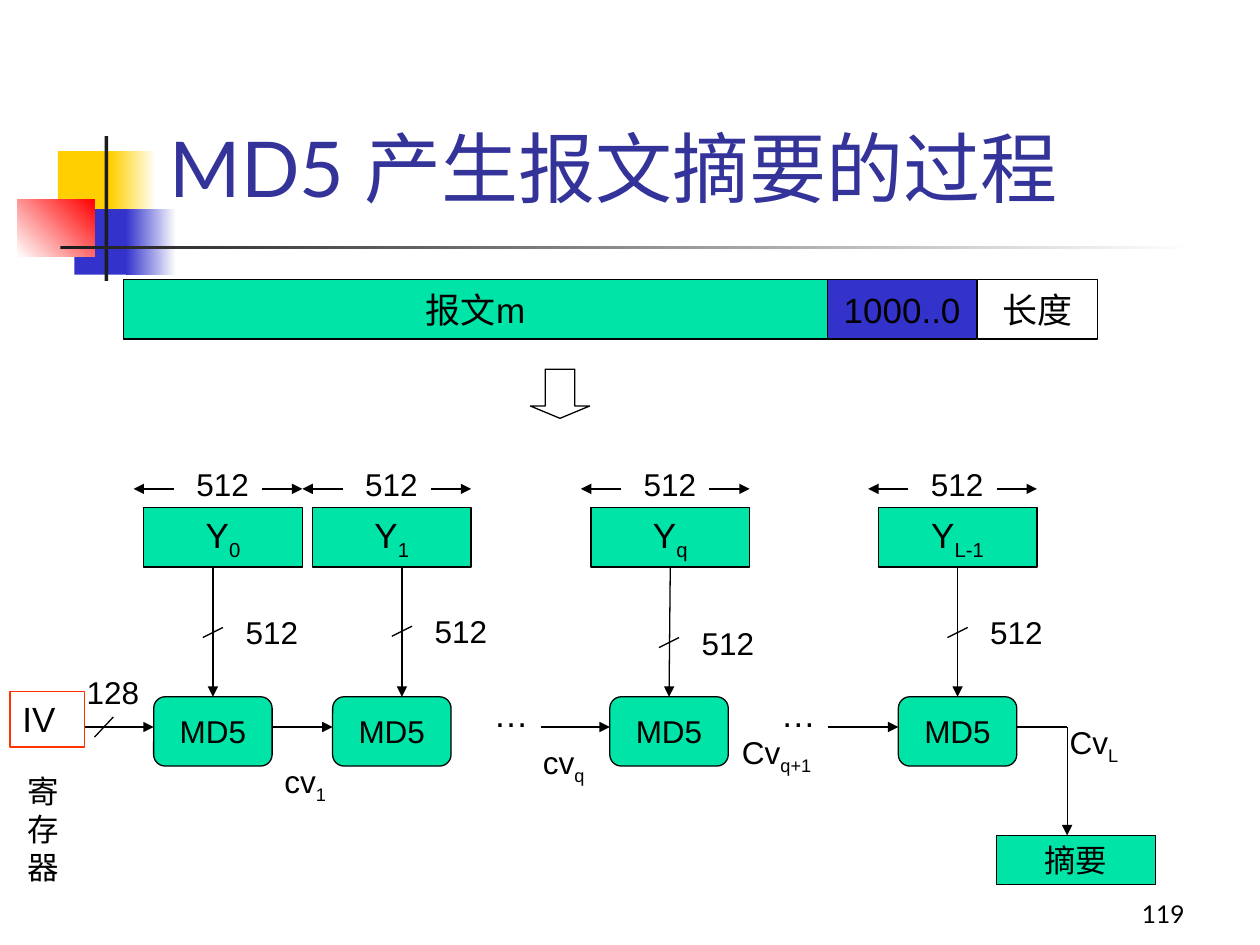
from dataclasses import dataclass
from typing import Optional

from lxml import etree
from pptx import Presentation
from pptx.dml.color import RGBColor
from pptx.enum.shapes import MSO_CONNECTOR, MSO_SHAPE
from pptx.enum.text import MSO_ANCHOR, PP_ALIGN
from pptx.oxml.ns import qn
from pptx.util import Inches, Pt

RECT = MSO_SHAPE.RECTANGLE
ROUNDED = MSO_SHAPE.ROUNDED_RECTANGLE
DOWN_ARROW = MSO_SHAPE.DOWN_ARROW
STRAIGHT = MSO_CONNECTOR.STRAIGHT
LEFT, CENTER, RIGHT = PP_ALIGN.LEFT, PP_ALIGN.CENTER, PP_ALIGN.RIGHT
TOP, MIDDLE, BOTTOM = MSO_ANCHOR.TOP, MSO_ANCHOR.MIDDLE, MSO_ANCHOR.BOTTOM


@dataclass(frozen=True)
class Theme:
    green: str = "00E4A8"
    blue: str = "3333CC"
    yellow: str = "FFCF01"
    red: str = "FF0000"
    dark: str = "1C1C1C"
    white: str = "FFFFFF"
    black: str = "000000"
    register: str = "FF3300"
    title: str = "333399"
    body_font: str = "Arial"
    head_font: str = "Lato"
    title_size: int = 44
    large: int = 20
    medium: int = 18
    number: int = 14
    line: float = 0.75


T = Theme()


@dataclass(frozen=True)
class Box:
    x: float
    y: float
    w: float
    h: float


@dataclass(frozen=True)
class Decoration:
    box: Box
    start: str
    end: Optional[str] = None
    angle: int = 0


@dataclass(frozen=True)
class Label:
    box: Box
    text: str
    sub: str = ""
    size: int = T.medium


@dataclass(frozen=True)
class Stage:
    block_x: float
    sub: str
    md5_x: float
    arrow_x: float
    label_y: float
    input_x: float


DECORATIONS = [
    Decoration(Box(0.46, 1.2, 0.48, 0.52), T.yellow),
    Decoration(Box(0.88, 1.2, 0.36, 0.52), T.yellow, T.white),
    Decoration(Box(0.59, 1.66, 0.46, 0.52), T.blue),
    Decoration(Box(1, 1.66, 0.4, 0.52), T.blue, T.white),
    Decoration(Box(0.14, 1.58, 0.61, 0.46), T.white, T.red, 45),
    Decoration(Box(0.83, 1.08, 0.03, 1.15), T.dark),
    Decoration(Box(0.48, 1.95, 9, 0.03), T.dark, T.white),
]
MESSAGE = [
    (Box(0.98, 2.22, 5.59, 0.47), "报文m", T.green),
    (Box(6.57, 2.22, 1.18, 0.47), "1000..0", T.blue),
    (Box(7.76, 2.22, 0.95, 0.47), "长度", T.white),
]
STAGES = [
    Stage(1.14, "0", 1.22, 1.69, 4.82, 0.67),
    Stage(2.48, "1", 2.64, 3.19, 4.81, 2.16),
    Stage(4.69, "q", 4.84, 5.31, 4.9, 4.29),
    Stage(6.97, "L-1", 7.13, 7.6, 4.82, 6.57),
]
LABELS = [
    Label(Box(0.59, 5.29, 0.63, 0.4), "128"),
    Label(Box(3.82, 5.45, 0.63, 0.44), "…", size=T.large),
    Label(Box(6.1, 5.45, 0.63, 0.44), "…", size=T.large),
    Label(Box(2.16, 6, 0.63, 0.44), "cv", "1"),
    Label(Box(4.21, 5.85, 0.63, 0.44), "cv", "q"),
    Label(Box(5.79, 5.77, 0.79, 0.44), "Cv", "q+1"),
    Label(Box(8.39, 5.69, 0.79, 0.44), "Cv", "L"),
    Label(Box(0.12, 6.08, 0.63, 1), "寄存器"),
]
BLOCK_Y, BLOCK_W, BLOCK_H = 4.03, 1.26, 0.47
MD5_Y, MD5_W, MD5_H = 5.53, 0.94, 0.55
SPAN_Y, CHAIN_Y, DIGEST_Y = 3.88, 5.77, 6.63


def rgb(color: str) -> RGBColor:
    return RGBColor.from_string(color)


def place(b: Box) -> tuple:
    return Inches(b.x), Inches(b.y), Inches(b.w), Inches(b.h)


def write(sp, text: str, sub: str = "", size: int = T.medium, align=LEFT,
          anchor=TOP, wrap: bool = True, font: str = T.body_font, color: str = T.black):
    tf = sp.text_frame
    tf.word_wrap = wrap
    tf.vertical_anchor = anchor
    p = tf.paragraphs[0]
    p.text = text
    p.alignment = align
    if sub:
        r = p.add_run()
        r.text = sub
        r.font._element.set("baseline", "-25000")
    for r in p.runs:
        r.font.size = Pt(size)
        r.font.name = font
        r.font.color.rgb = rgb(color)


def add_text(s, label: Label, **style):
    write(s.shapes.add_textbox(*place(label.box)), label.text, label.sub, label.size, **style)


def add_box(s, box: Box, fill: Optional[str], line: Optional[str] = T.black, kind=RECT):
    sp = s.shapes.add_shape(kind, *place(box))
    sp.shadow.inherit = False
    if fill:
        sp.fill.solid()
        sp.fill.fore_color.rgb = rgb(fill)
    else:
        sp.fill.background()
    if line:
        sp.line.color.rgb = rgb(line)
        sp.line.width = Pt(T.line)
    else:
        sp.line.fill.background()
    return sp


def add_node(s, box: Box, text: str, sub: str = "", size: int = T.large, fill: str = T.green, kind=RECT):
    sp = add_box(s, box, fill, kind=kind)
    write(sp, text, sub, size, CENTER, MIDDLE, wrap=False)
    return sp


def add_decoration(s, d: Decoration):
    sp = add_box(s, d.box, d.start, None)
    if d.end:
        sp.fill.gradient()
        sp.fill.gradient_angle = d.angle
        for stop, color in zip(sp.fill.gradient_stops, (d.start, d.end)):
            stop.color.rgb = rgb(color)


def add_line(s, x1: float, y1: float, x2: float, y2: float, arrow: bool = True):
    c = s.shapes.add_connector(STRAIGHT, Inches(x1), Inches(y1), Inches(x2), Inches(y2))
    c.line.color.rgb = rgb(T.black)
    c.line.width = Pt(T.line)
    if arrow:
        etree.SubElement(c.line._get_or_add_ln(), qn("a:tailEnd"), type="triangle")
    etree.SubElement(c._element.spPr, qn("a:effectLst"))
    return c


def add_stage(s, g: Stage):
    block = add_node(s, Box(g.block_x, BLOCK_Y, BLOCK_W, BLOCK_H), "Y", g.sub)
    md5 = add_node(s, Box(g.md5_x, MD5_Y, MD5_W, MD5_H), "MD5", size=T.medium, kind=ROUNDED)
    c = add_line(s, g.arrow_x, BLOCK_Y + BLOCK_H, g.arrow_x, MD5_Y)
    if abs(g.block_x + BLOCK_W / 2 - g.arrow_x) < 0.02:
        c.begin_connect(block, 2)
    if abs(g.md5_x + MD5_W / 2 - g.arrow_x) < 0.02:
        c.end_connect(md5, 0)
    add_line(s, g.input_x, CHAIN_Y, g.md5_x, CHAIN_Y)
    add_line(s, g.arrow_x - 0.08, g.label_y + 0.24, g.arrow_x + 0.08, g.label_y + 0.16, arrow=False)
    add_text(s, Label(Box(g.arrow_x + 0.16, g.label_y, 0.71, 0.4), "512"))
    left, right = g.block_x - 0.08, g.block_x + BLOCK_W
    add_line(s, left + 0.32, SPAN_Y, left, SPAN_Y)
    add_line(s, right - 0.32, SPAN_Y, right, SPAN_Y)
    add_text(s, Label(Box(left + 0.4, 3.64, 0.94, 0.4), "512"))


def main():
    prs = Presentation()
    prs.slide_width, prs.slide_height = Inches(10), Inches(7.5)
    s = prs.slides.add_slide(prs.slide_layouts[6])
    for d in DECORATIONS:
        add_decoration(s, d)
    add_text(s, Label(Box(7.42, 6.92, 2.08, 0.5), "119", size=T.number),
             align=RIGHT, anchor=BOTTOM, font=T.head_font)
    add_text(s, Label(Box(1.25, 1.08, 8.52, 0.66), "MD5 产生报文摘要的过程", size=T.title_size),
             anchor=BOTTOM, font=T.head_font, color=T.title)
    for box, text, fill in MESSAGE:
        add_node(s, box, text, fill=fill)
    arrow = add_box(s, Box(4.21, 2.93, 0.47, 0.39), None, kind=DOWN_ARROW)
    arrow.adjustments[1] = 0.25
    for g in STAGES:
        add_stage(s, g)
    add_line(s, 8.07, CHAIN_Y, 8.47, CHAIN_Y, arrow=False)
    add_line(s, 8.47, CHAIN_Y, 8.47, DIGEST_Y)
    add_node(s, Box(7.91, DIGEST_Y, BLOCK_W, 0.39), "摘要", size=T.medium)
    add_line(s, 0.9, 5.69, 0.75, 5.85, arrow=False)
    register = add_box(s, Box(0.08, 5.49, 0.59, 0.44), None, T.register)
    write(register, "IV", size=T.large)
    for label in LABELS:
        add_text(s, label)
    prs.save("out.pptx")


if __name__ == "__main__":
    main()
